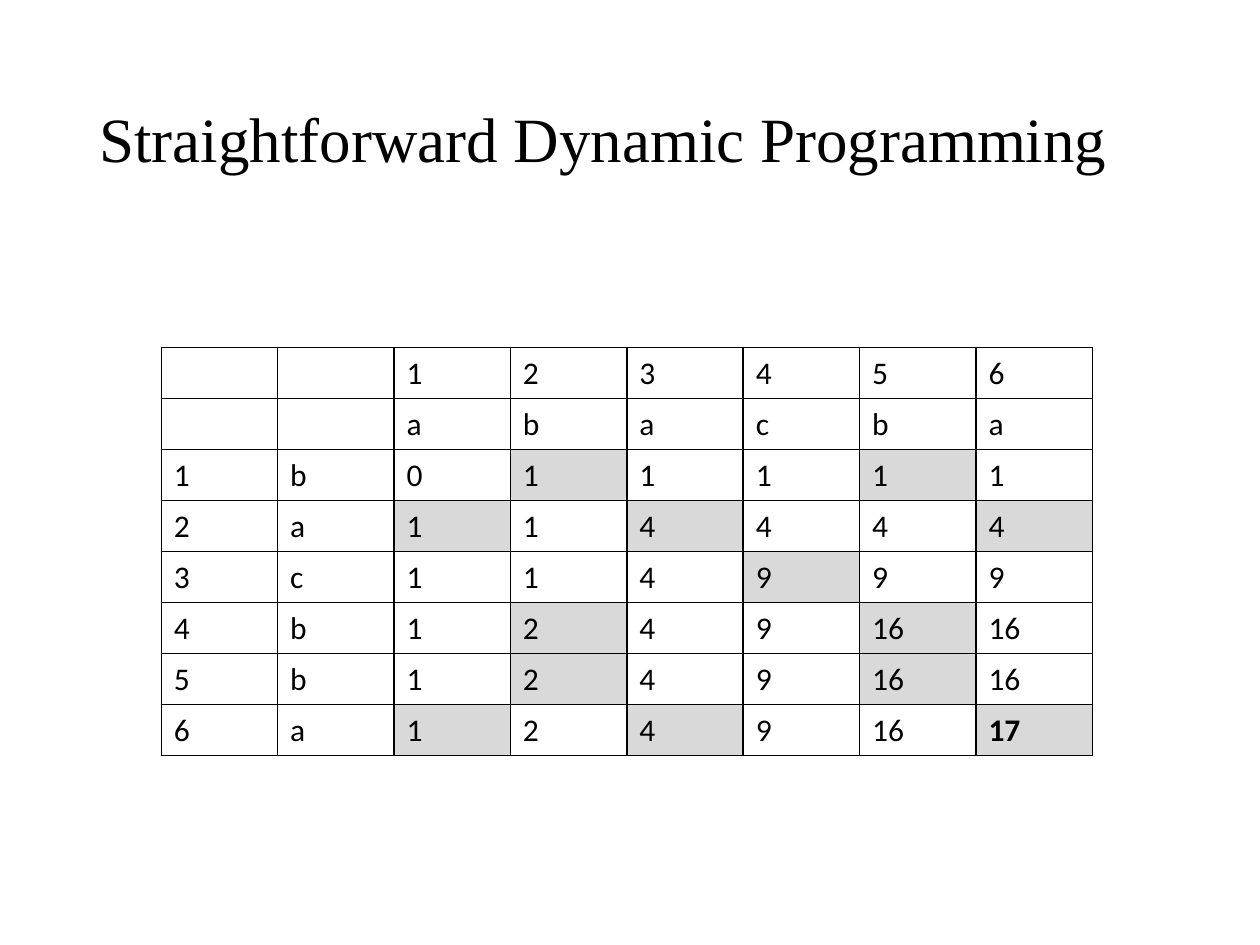
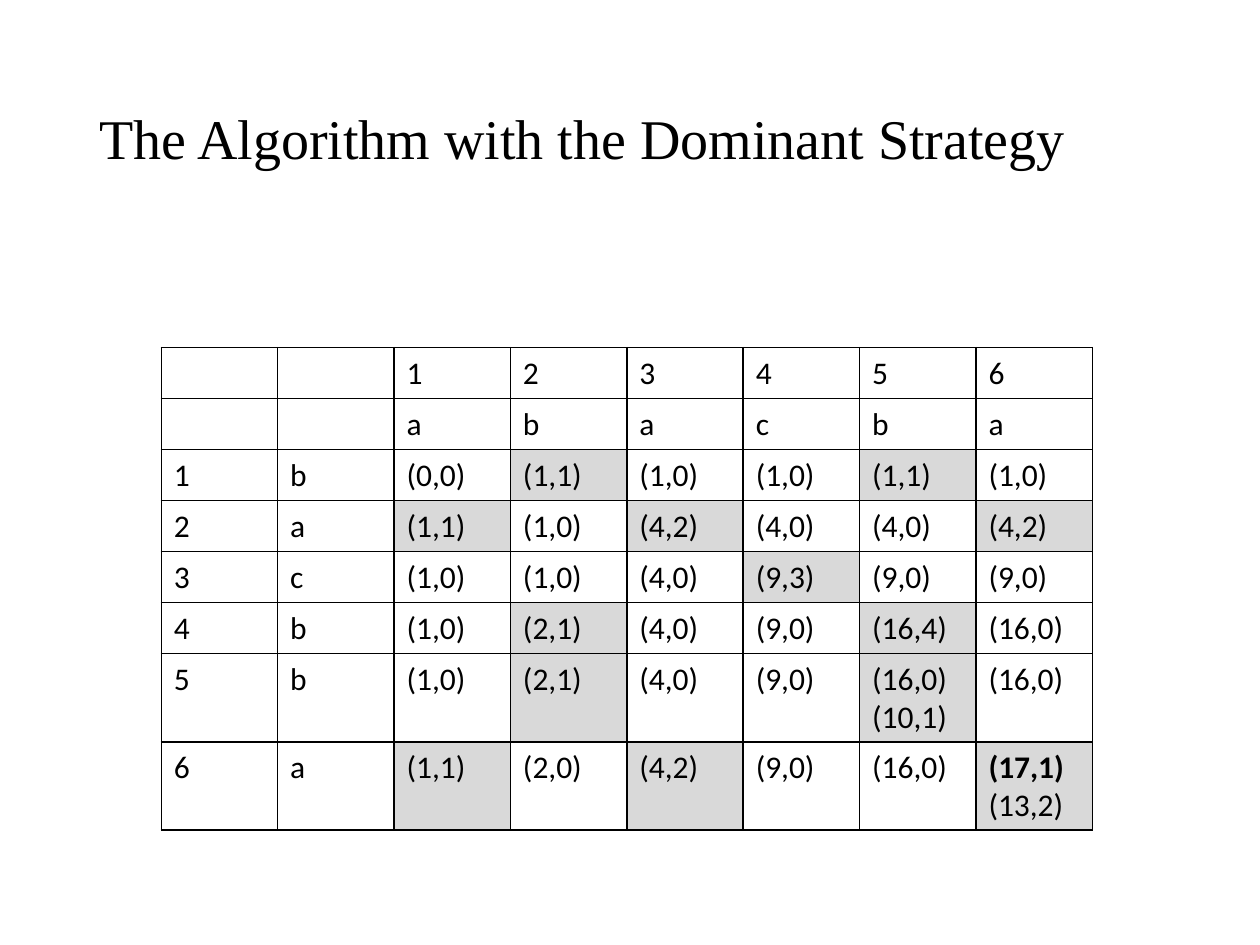
from lxml import etree
from pptx import Presentation
from pptx import util as u
from pptx.dml.color import RGBColor
from pptx.enum import text
from pptx.oxml import ns

COLUMN_LETTERS = "abacba"
ROW_LETTERS = "bacbba"

# One line per row letter; "/" separates stacked entries of one cell
BASIC_SCORES = [
    "0 1 1 1 1 1",
    "1 1 4 4 4 4",
    "1 1 4 9 9 9",
    "1 2 4 9 16 16",
    "1 2 4 9 16 16",
    "1 2 4 9 16 17",
]
DOMINANT_SCORES = [
    "(0,0) (1,1) (1,0) (1,0) (1,1) (1,0)",
    "(1,1) (1,0) (4,2) (4,0) (4,0) (4,2)",
    "(1,0) (1,0) (4,0) (9,3) (9,0) (9,0)",
    "(1,0) (2,1) (4,0) (9,0) (16,4) (16,0)",
    "(1,0) (2,1) (4,0) (9,0) (16,0)/(10,1) (16,0)",
    "(1,1) (2,0) (4,2) (9,0) (16,0) (17,1)/(13,2)",
]


def color(value):
    return RGBColor.from_string(value)


class Deck:
    INK = "000000"
    PAPER = "FFFFFF"
    MATCH = "D9D9D9"
    TITLE_FONT = "Times New Roman"
    TABLE_FONT = "Calibri"

    def __init__(self):
        self.presentation = Presentation()
        self.presentation.slide_width = u.Inches(10)
        self.presentation.slide_height = u.Inches(7.5)
        self.slide = None

    def add_slide(self):
        self.slide = self.presentation.slides.add_slide(self.presentation.slide_layouts[6])
        background = self.slide.background.fill
        background.solid()
        background.fore_color.rgb = color(self.PAPER)

    def style(self, paragraph, font_name, size, bold=False):
        paragraph.font.name = font_name
        paragraph.font.size = u.Pt(size)
        paragraph.font.bold = bold
        paragraph.font.color.rgb = color(self.INK)

    def title(self, words, size):
        shape = self.slide.shapes.add_textbox(
            u.Inches(0.69), u.Inches(0.4), u.Inches(8.62), u.Inches(1.45))
        frame = shape.text_frame
        frame.word_wrap = True
        frame.vertical_anchor = text.MSO_ANCHOR.MIDDLE
        frame.text = words
        paragraph = frame.paragraphs[0]
        paragraph.line_spacing = 0.9
        self.style(paragraph, self.TITLE_FONT, size)

    def borders(self, cell):
        properties = cell._tc.get_or_add_tcPr()
        for side in ("lnL", "lnR", "lnT", "lnB"):
            line = etree.SubElement(properties, ns.qn(f"a:{side}"), w=str(u.Pt(1)))
            fill = etree.SubElement(line, ns.qn("a:solidFill"))
            etree.SubElement(fill, ns.qn("a:srgbClr"), val=self.INK)

    def cell(self, cell, words, fill=None, bold_first=False):
        self.borders(cell)
        if fill:
            cell.fill.solid()
            cell.fill.fore_color.rgb = color(fill)
        else:
            cell.fill.background()
        cell.text = words.replace("/", "\n")
        for index, paragraph in enumerate(cell.text_frame.paragraphs):
            self.style(paragraph, self.TABLE_FONT, 18, bold_first and index == 0)

    def score_table(self, scores):
        # Two header rows and columns: position, then letter
        numbers = [str(number + 1) for number in range(len(COLUMN_LETTERS))]
        rows = [["", "", *numbers], ["", "", *COLUMN_LETTERS]]
        for number, (letter, line) in enumerate(zip(ROW_LETTERS, scores), 1):
            rows.append([str(number), letter, *line.split()])

        table = self.slide.shapes.add_table(
            len(rows), len(rows[0]), u.Inches(1.28), u.Inches(2.76),
            u.Inches(7.39), u.Inches(3.24)).table
        table.first_row = table.horz_banding = False

        # Cells whose row and column letters match are shaded
        last = len(rows) - 1, len(rows[0]) - 1
        for r, row in enumerate(rows):
            for c, words in enumerate(row):
                fill = None
                if r > 1 and c > 1:
                    fill = self.MATCH if row[1] == rows[1][c] else self.PAPER
                self.cell(table.cell(r, c), words, fill, (r, c) == last)


def main():
    deck = Deck()
    for words, size, scores in (
        ("Straightforward Dynamic Programming", 36, BASIC_SCORES),
        ("The Algorithm with the Dominant Strategy", 32, DOMINANT_SCORES),
    ):
        deck.add_slide()
        deck.title(words, size)
        deck.score_table(scores)
    deck.presentation.save("out.pptx")


if __name__ == "__main__":
    main()
